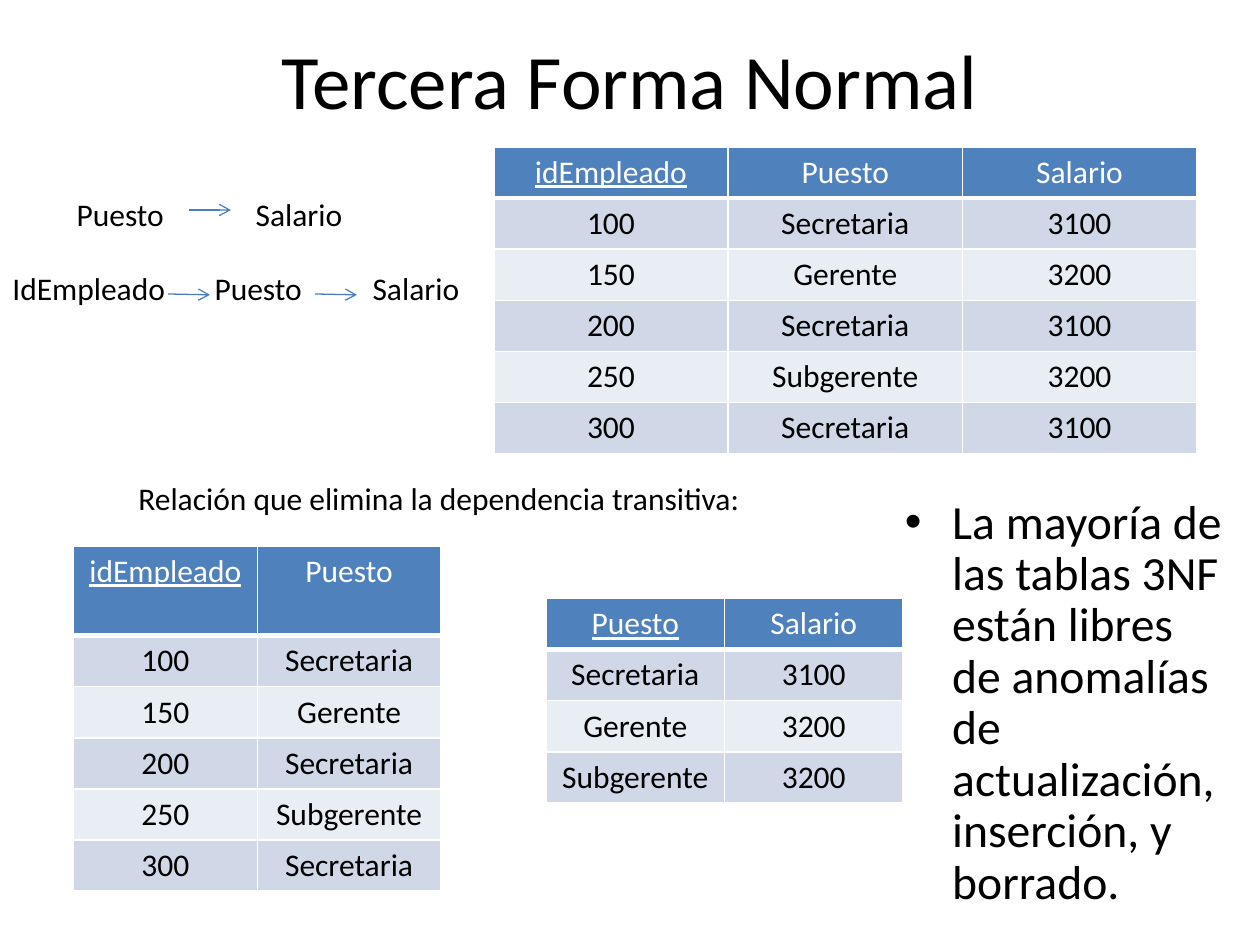
import pptx
import pptx.util
import pptx.dml.color
import pptx.enum.text
import pptx.enum.shapes
import pptx.oxml
import pptx.oxml.ns
import lxml.etree

Pt = pptx.util.Pt
RGBColor = pptx.dml.color.RGBColor
ALIGN = pptx.enum.text.PP_ALIGN
ANCHOR = pptx.enum.text.MSO_ANCHOR
qn = pptx.oxml.ns.qn

BLACK = RGBColor(0x00, 0x00, 0x00)
WHITE = RGBColor(0xFF, 0xFF, 0xFF)
HEADER = RGBColor(0x4F, 0x81, 0xBD)
BANDS = (RGBColor(0xD0, 0xD8, 0xE8), RGBColor(0xE9, 0xED, 0xF4))
ARROW = RGBColor(0x4B, 0x7E, 0xBC)
FONT = "Calibri"

employees = [("100", "Secretaria"), ("150", "Gerente"), ("200", "Secretaria"),
             ("250", "Subgerente"), ("300", "Secretaria")]
salaries = {"Secretaria": "3100", "Gerente": "3200", "Subgerente": "3200"}

tables = [
    dict(left=282.2, top=84, column=133.9, header=28.8, row=28.8,
         rows=[("idEmpleado", "Puesto", "Salario")]
         + [(number, job, salaries[job]) for number, job in employees]),
    dict(left=42, top=312, column=105, header=51.2, row=29.2,
         rows=[("idEmpleado", "Puesto")] + employees),
    dict(left=312, top=342, column=102, header=28.8, row=28.8,
         rows=[("Puesto", "Salario")] + list(salaries.items())),
]

texts = [
    ("Tercera Forma Normal", (36, 0, 648, 90),
     dict(size=44, align=ALIGN.CENTER, anchor=ANCHOR.MIDDLE)),
    ("Relación que elimina la dependencia transitiva:", (72, 270, 363, 29), dict(wrap=False)),
    ("La mayoría de las tablas 3NF están libres de anomalías de actualización, "
     "inserción, y borrado.", (510, 281, 198, 247.5),
     dict(size=27.2, bullet="•", indent=27, line_spacing=0.9, space_before=5.4)),
    ("Puesto\tSalario", (0, 108, 210, 29), dict(inset=43.8, tabs=[102.3])),
    ("IdEmpleado\tPuesto\tSalario", (0, 150, 276, 29), dict(tabs=[115.5, 205.8])),
]

arrow_length = 24
arrows = [(108, 120, 0), (96, 168, 0.5), (180, 168, 0.5)]


def write(frame, text, size=18, color=BLACK, align=ALIGN.LEFT, anchor=ANCHOR.TOP, wrap=True,
          underline=False, inset=7.2, bullet=None, indent=0, line_spacing=None,
          space_before=0, tabs=()):
    frame.word_wrap = wrap
    frame.vertical_anchor = anchor
    frame.margin_left = Pt(inset)
    para = frame.paragraphs[0]
    para.alignment = align
    para.space_before = Pt(space_before)
    if line_spacing:
        para.line_spacing = line_spacing
    properties = para._p.get_or_add_pPr()
    if bullet:
        properties.set("marL", str(Pt(indent)))
        properties.set("indent", str(-Pt(indent)))
        lxml.etree.SubElement(properties, qn("a:buFont"), typeface="Arial")
        lxml.etree.SubElement(properties, qn("a:buChar"), char=bullet)
    if tabs:
        stops = lxml.etree.SubElement(properties, qn("a:tabLst"))
        for position in tabs:
            lxml.etree.SubElement(stops, qn("a:tab"), pos=str(Pt(position)), algn="l")
    span = para.add_run()
    span.text = text
    span.font.name = FONT
    span.font.size = Pt(size)
    span.font.color.rgb = color
    span.font.underline = underline


def set_borders(cell, bottom):
    properties = cell._tc.get_or_add_tcPr()
    for side, width in (("L", 1), ("R", 1), ("T", 1), ("B", bottom)):
        line = lxml.etree.SubElement(properties, qn("a:ln" + side), w=str(Pt(width)))
        fill = lxml.etree.SubElement(line, qn("a:solidFill"))
        lxml.etree.SubElement(fill, qn("a:srgbClr"), val=str(WHITE))


def add_relation(page, left, top, column, header, row, rows):
    columns = len(rows[0])
    height = header + row * (len(rows) - 1)
    table = page.shapes.add_table(len(rows), columns, Pt(left), Pt(top),
                                  Pt(column * columns), Pt(height)).table
    for table_column in table.columns:
        table_column.width = Pt(column)
    for row_index, values in enumerate(rows):
        is_header = row_index == 0
        table.rows[row_index].height = Pt(header if is_header else row)
        for column_index, value in enumerate(values):
            cell = table.cell(row_index, column_index)
            set_borders(cell, bottom=3 if is_header else 1)
            cell.fill.solid()
            cell.fill.fore_color.rgb = HEADER if is_header else BANDS[(row_index - 1) % 2]
            write(cell.text_frame, value, align=ALIGN.CENTER,
                  color=WHITE if is_header else BLACK,
                  underline=is_header and column_index == 0)


def add_arrow(page, left, top, drop):
    arrow = page.shapes.add_connector(pptx.enum.shapes.MSO_CONNECTOR.STRAIGHT, Pt(left), Pt(top),
                                      Pt(left + arrow_length), Pt(top + drop))
    arrow.line.color.rgb = ARROW
    arrow.line.width = Pt(0.75)
    lxml.etree.SubElement(arrow.line._get_or_add_ln(), qn("a:tailEnd"), type="arrow")
    lxml.etree.SubElement(arrow._element.spPr, qn("a:effectLst"))


deck = pptx.Presentation()
deck.slide_width, deck.slide_height = Pt(720), Pt(540)
page = deck.slides.add_slide(deck.slide_layouts[6])

for relation in tables:
    add_relation(page, **relation)
for text, place, style in texts:
    box = page.shapes.add_textbox(*map(Pt, place))
    write(box.text_frame, text, **style)
for arrow_place in arrows:
    add_arrow(page, *arrow_place)

deck.save("out.pptx")
